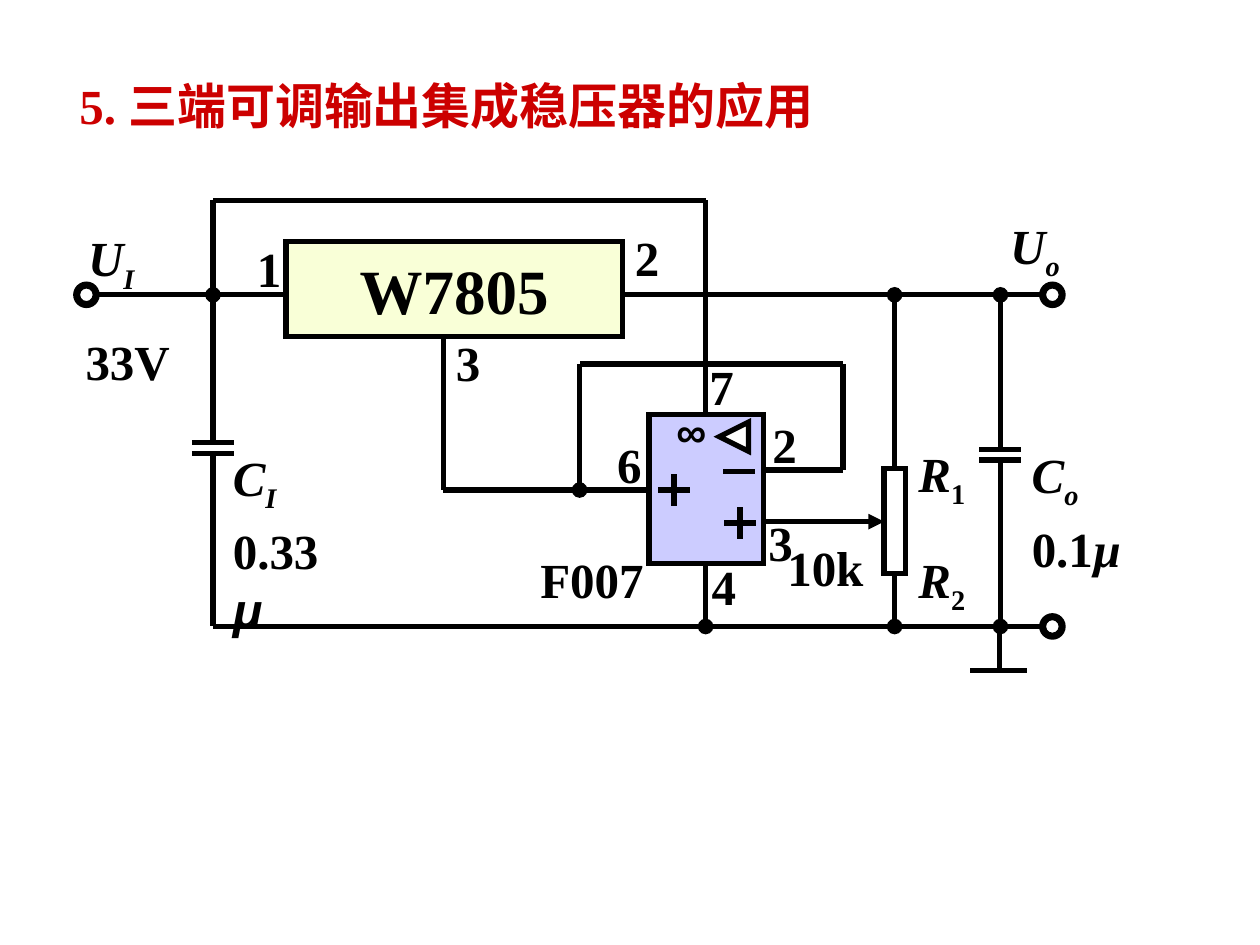
import pptx
import pptx.dml.color
import pptx.enum.shapes
import pptx.enum.text
import pptx.oxml
import pptx.oxml.ns
import pptx.util

Pt = pptx.util.Pt
SHAPE = pptx.enum.shapes.MSO_SHAPE
ANCHOR = pptx.enum.text.MSO_ANCHOR
ALIGN = pptx.enum.text.PP_ALIGN

COLORS = {"title": "CC0000", "ink": "000000", "regulator": "F9FFD7",
          "amplifier": "CCCCFF", "paper": "FFFFFF"}
SERIF, SANS, CHINESE = "Times New Roman", "Arial", "Noto Sans CJK SC"
TITLE = ("5. ", "三端可调输出集成稳压器的应用")

# Main columns and rows of the circuit
INPUT_X, REGULATOR_X, FEEDBACK_X, SUPPLY_X = 121.7, 253.4, 331.2, 403.2
INVERTING_X, DIVIDER_X, OUTPUT_X, GROUND_X = 481.7, 511.2, 571.7, 571
TERMINAL_LEFT, TERMINAL_RIGHT = 49.4, 601.4
SUPPLY_Y, RAIL_Y, FEEDBACK_Y, FOLLOWER_Y, RETURN_Y = 114.5, 168.5, 208, 280, 358
INVERTING_Y, WIPER_Y, GROUND_Y = 268.6, 298.1, 383
RADIUS = 6.1

# left, top, width, height
REGULATOR = (163.4, 138.2, 192.2, 54)
AMPLIFIER = (370.8, 236.9, 65.5, 85)
RESISTOR = (505.2, 267.8, 12.2, 59.8)
TRIANGLE = (411.1, 241.2, 16.6, 16.6)
AMP_RIGHT = AMPLIFIER[0] + AMPLIFIER[2]
AMP_BOTTOM = AMPLIFIER[1] + AMPLIFIER[3]
RESISTOR_BOTTOM = RESISTOR[1] + RESISTOR[3]

# x and the two plate heights of each capacitor
CAPACITORS = {"input": (INPUT_X, 253, 259.2), "output": (OUTPUT_X, 257, 262.8)}
PLATE_HALF = 12
TERMINALS = [(TERMINAL_LEFT, RAIL_Y), (TERMINAL_RIGHT, RAIL_Y), (TERMINAL_RIGHT, RETURN_Y)]

# Points along each wire, then the mark at its last point
WIRES = [
    ([(AMP_RIGHT, INVERTING_Y), (INVERTING_X, INVERTING_Y), (INVERTING_X, FEEDBACK_Y),
      (FEEDBACK_X, FEEDBACK_Y), (FEEDBACK_X, FOLLOWER_Y)], "oval"),
    ([(AMPLIFIER[0], FOLLOWER_Y), (REGULATOR_X, FOLLOWER_Y),
      (REGULATOR_X, REGULATOR[1] + REGULATOR[3])], None),
    ([(REGULATOR[0] + REGULATOR[2], RAIL_Y), (TERMINAL_RIGHT - RADIUS, RAIL_Y)], None),
    ([(REGULATOR[0], RAIL_Y), (TERMINAL_LEFT + RADIUS, RAIL_Y)], None),
    ([(SUPPLY_X, AMPLIFIER[1]), (SUPPLY_X, SUPPLY_Y), (INPUT_X, SUPPLY_Y),
      (INPUT_X, RAIL_Y)], None),
    ([(INPUT_X, CAPACITORS["input"][1]), (INPUT_X, RAIL_Y)], "oval"),
    ([(INPUT_X, CAPACITORS["input"][2]), (INPUT_X, RETURN_Y),
      (TERMINAL_RIGHT - RADIUS, RETURN_Y)], None),
    ([(OUTPUT_X, CAPACITORS["output"][1]), (OUTPUT_X, RAIL_Y)], "oval"),
    ([(OUTPUT_X, CAPACITORS["output"][2]), (OUTPUT_X, RETURN_Y)], "oval"),
    ([(DIVIDER_X, RESISTOR[1]), (DIVIDER_X, RAIL_Y)], "oval"),
    ([(DIVIDER_X, RESISTOR_BOTTOM), (DIVIDER_X, RETURN_Y)], "oval"),
    ([(AMP_RIGHT, WIPER_Y), (RESISTOR[0], WIPER_Y)], "triangle"),
    ([(SUPPLY_X, AMP_BOTTOM), (SUPPLY_X, RETURN_Y)], "oval"),
    ([(GROUND_X, RETURN_Y + 2), (GROUND_X, GROUND_Y)], None),
    ([(554.4, GROUND_Y), (586.8, GROUND_Y)], None),
]

# Centre of each sign inside the amplifier
SIGNS = [("minus", 422.3, 269.3), ("plus", 422.8, 298.8), ("plus", 385.2, FOLLOWER_Y)]
SIGN_HALF = 9

# Plain labels: text, left, top, width
PLAIN_LABELS = [
    ("1", 139.7, 132.5, 29), ("2", 355.7, 126.7, 29), ("3", 253.4, 186.5, 29),
    ("7", 398.2, 200.2, 29), ("6", 345.6, 244.8, 29), ("2", 434.2, 233.3, 29),
    ("3", 432, 289.4, 29), ("4", 399.6, 314.6, 29), ("F007", 301.7, 310.3, 76),
    ("33V", 41.8, 185.8, 66), ("10k", 442.8, 303.8, 62),
]
# Symbols: letter, subscript, subscript italic, left, top, width
SYMBOLS = [
    ("R", "1", False, 517.7, 249.8, 59), ("R", "2", False, 517.7, 310.3, 72.7),
    ("C", "I", True, 126, 252, 100.8), ("C", "o", True, 582.5, 250.6, 88.6),
    ("U", "I", True, 43.2, 126.7, 56.2), ("U", "o", True, 570.2, 119.5, 75.6),
]
# Capacitances: number, unit, unit font, left, top, width
CAPACITANCES = [("0.33", "μ", SANS, 126, 293.8, 72),
                ("0.1", "µ", SERIF, 582.5, 293, 70)]


def rgb(name):
    return pptx.dml.color.RGBColor.from_string(COLORS[name])


def element(tag, attributes=""):
    return pptx.oxml.parse_xml(f'<a:{tag} {pptx.oxml.ns.nsdecls("a")} {attributes}/>')


def set_font(para, size=28, color="ink", name=SERIF):
    para.font.size, para.font.bold = Pt(size), True
    para.font.color.rgb = rgb(color)
    if name:
        para.font.name = name


def add_label(slide, texts, left, top, width, height=41, size=28, name=SERIF):
    """Add a text box with one run per text and return the runs."""
    frame = slide.shapes.add_textbox(Pt(left), Pt(top), Pt(width), Pt(height)).text_frame
    frame.word_wrap = True
    para = frame.paragraphs[0]
    set_font(para, size, name=name)
    spans = []
    for text in texts:
        span = para.add_run()
        span.text = text
        spans.append(span)
    return spans


def add_outline(slide, kind, frame, fill=None):
    shape = slide.shapes.add_shape(kind, *[Pt(length) for length in frame])
    shape.shadow.inherit = False
    shape.line.color.rgb, shape.line.width = rgb("ink"), Pt(3)
    shape.line._get_or_add_ln().append(element("miter", 'lim="800000"'))
    if fill:
        shape.fill.solid()
        shape.fill.fore_color.rgb = rgb(fill)
    else:
        shape.fill.background()
    return shape


def add_line(slide, start, end, mark=None):
    line = slide.shapes.add_connector(pptx.enum.shapes.MSO_CONNECTOR.STRAIGHT,
                                      *[Pt(length) for length in start + end])
    line.line.color.rgb, line.line.width = rgb("ink"), Pt(3)
    if mark:
        line.line._get_or_add_ln().append(element("tailEnd", f'type="{mark}"'))
    line._element.spPr.append(element("effectLst"))


def add_title(slide):
    title = slide.shapes.title
    title.left, title.top, title.width, title.height = Pt(38.2), Pt(39.6), Pt(480), Pt(41)
    title.text_frame.word_wrap = True
    title.text_frame.vertical_anchor = ANCHOR.TOP
    para = title.text_frame.paragraphs[0]
    para.alignment = ALIGN.LEFT
    set_font(para, color="title", name=None)
    for text, name in zip(TITLE, (SERIF, CHINESE)):
        span = para.add_run()
        span.text, span.font.name = text, name
        span._r.get_or_add_rPr().append(element("ea", f'typeface="{name}"'))


def add_regulator(slide):
    frame = add_outline(slide, SHAPE.RECTANGLE, REGULATOR, "regulator").text_frame
    frame.word_wrap, frame.vertical_anchor = False, ANCHOR.MIDDLE
    para = frame.paragraphs[0]
    para.text, para.alignment = "W7805", ALIGN.CENTER
    set_font(para, 36)


def add_circuit(slide):
    for points, mark in WIRES:
        for start, end in zip(points, points[1:]):
            add_line(slide, start, end, mark if end == points[-1] else None)
    for x, *plates in CAPACITORS.values():
        for y in plates:
            add_line(slide, (x - PLATE_HALF, y), (x + PLATE_HALF, y))
    for x, y in TERMINALS:
        ring = add_outline(slide, SHAPE.DONUT, (x - RADIUS, y - RADIUS, 2 * RADIUS, 2 * RADIUS))
        ring.adjustments[0] = 0.08
    add_outline(slide, SHAPE.RECTANGLE, RESISTOR)


def add_amplifier(slide):
    add_outline(slide, SHAPE.RECTANGLE, AMPLIFIER, "amplifier")
    for kind, x, y in SIGNS:
        add_line(slide, (x - SIGN_HALF, y), (x + SIGN_HALF, y))
        if kind == "plus":
            add_line(slide, (x, y - SIGN_HALF), (x, y + SIGN_HALF))
    add_label(slide, ["∞"], 379.4, 228.2, 34.6, 36, 24, SANS)
    add_outline(slide, SHAPE.ISOSCELES_TRIANGLE, TRIANGLE, "paper").rotation = 270


def add_labels(slide):
    for text, *place in PLAIN_LABELS:
        add_label(slide, [text], *place)
    for letter, subscript, italic, *place in SYMBOLS:
        symbol, index = add_label(slide, [letter, subscript], *place, height=45)
        symbol.font.italic, index.font.italic = True, italic
        index._r.get_or_add_rPr().set("baseline", "-25000")
    for number, unit, name, *place in CAPACITANCES:
        unit_span = add_label(slide, [number, unit], *place)[1]
        unit_span.font.name, unit_span.font.italic = name, True


def main():
    deck = pptx.Presentation()
    deck.slide_width, deck.slide_height = Pt(720), Pt(540)
    slide = deck.slides.add_slide(deck.slide_layouts[5])
    add_title(slide)
    add_regulator(slide)
    add_circuit(slide)
    add_labels(slide)
    add_amplifier(slide)
    deck.save("out.pptx")


if __name__ == "__main__":
    main()
